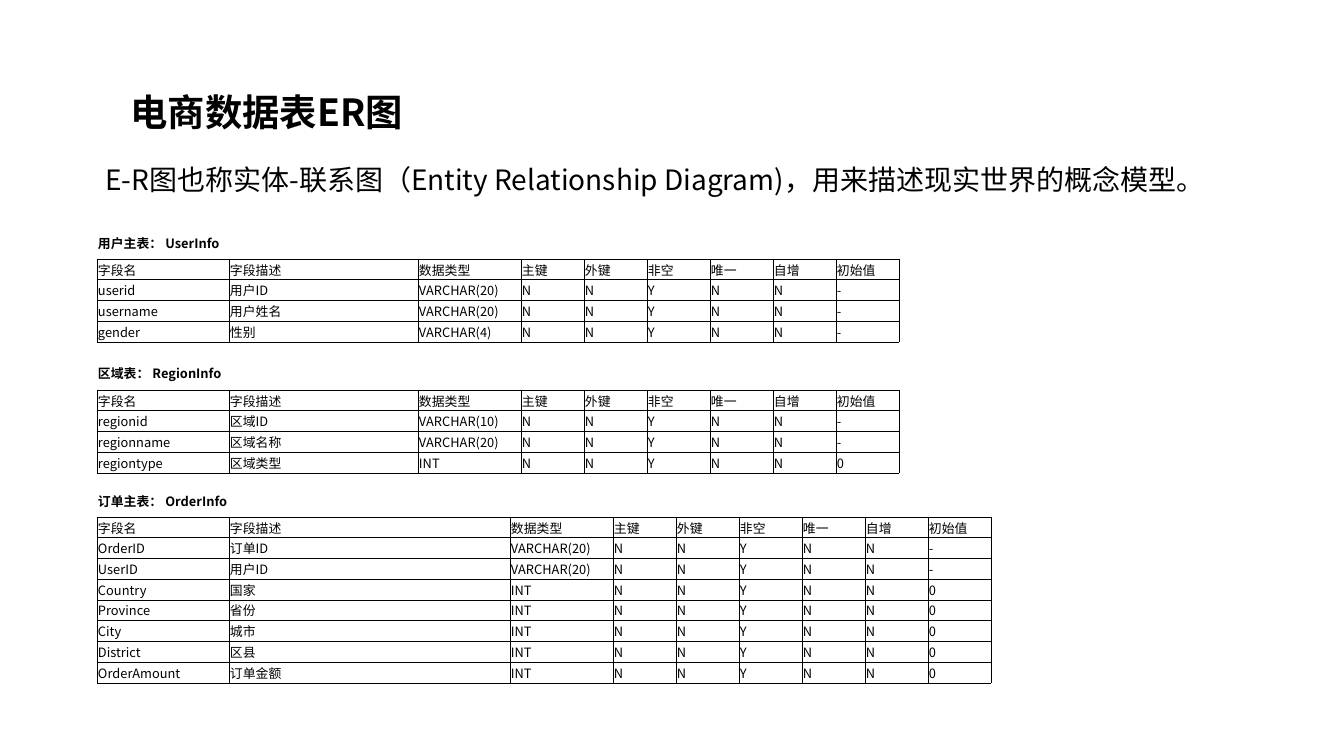
from lxml import etree
from pptx import Presentation
from pptx.dml.color import RGBColor
from pptx.enum.text import MSO_ANCHOR, MSO_AUTO_SIZE, PP_ALIGN
from pptx.oxml.ns import qn
from pptx.util import Emu, Pt

PX_PER_INCH = 84
MIDDLE = MSO_ANCHOR.MIDDLE
TOP = MSO_ANCHOR.TOP
LEFT = PP_ALIGN.LEFT
NO_AUTOFIT = MSO_AUTO_SIZE.NONE
COLORS = {"ink": "000000"}
FONT = "Noto Sans CJK SC"

TABLE_LEFT = 97
CAPTION_HEIGHT = 21
NAME_WIDTH = 132
TYPE_WIDTH = 103
FLAG_WIDTH = 63
HEADINGS = ["字段名", "字段描述", "数据类型", "主键", "外键", "非空", "唯一", "自增", "初始值"]
FLAGS = ["N", "N", "Y", "N", "N"]

USER_FIELDS = [
    ("userid", "用户ID", "VARCHAR(20)", "-"),
    ("username", "用户姓名", "VARCHAR(20)", "-"),
    ("gender", "性别", "VARCHAR(4)", "-"),
]
REGION_FIELDS = [
    ("regionid", "区域ID", "VARCHAR(10)", "-"),
    ("regionname", "区域名称", "VARCHAR(20)", "-"),
    ("regiontype", "区域类型", "INT", "0"),
]
ORDER_FIELDS = [
    ("OrderID", "订单ID", "VARCHAR(20)", "-"),
    ("UserID", "用户ID", "VARCHAR(20)", "-"),
    ("Country", "国家", "INT", "0"),
    ("Province", "省份", "INT", "0"),
    ("City", "城市", "INT", "0"),
    ("District", "区县", "INT", "0"),
    ("OrderAmount", "订单金额", "INT", "0"),
]


def px(length):
    return Emu(round(length * 914400 / PX_PER_INCH))


def write_text(frame, text, size=11, bold=False, line_spacing=1.0):
    para = frame.paragraphs[0]
    para.alignment = LEFT
    para.line_spacing = line_spacing
    para.space_before = Pt(0)
    span = para.add_run()
    span.text = text
    span.font.size = Pt(size)
    span.font.bold = bold
    span.font.name = FONT
    span.font.color.rgb = RGBColor.from_string(COLORS["ink"])
    east_asian = etree.SubElement(span.font._element, qn("a:ea"))
    east_asian.set("typeface", FONT)
    return para


def fill_placeholder(box, text, left, top, width, height, anchor, **text_format):
    box.left, box.top, box.width, box.height = map(px, (left, top, width, height))
    frame = box.text_frame
    frame.word_wrap = True
    frame.auto_size = NO_AUTOFIT
    frame.vertical_anchor = anchor
    frame.margin_top = frame.margin_bottom = 0
    return write_text(frame, text, **text_format)


def remove_bullet(para):
    properties = para._p.get_or_add_pPr()
    properties.set("marL", "0")
    properties.set("indent", "0")
    etree.SubElement(properties, qn("a:buNone"))


def add_borders(cell):
    properties = cell._tc.get_or_add_tcPr()
    for side in ("lnL", "lnR", "lnT", "lnB"):
        line = etree.SubElement(properties, qn(f"a:{side}"), w=str(Pt(0.5)))
        paint = etree.SubElement(line, qn("a:solidFill"))
        etree.SubElement(paint, qn("a:srgbClr"), val=COLORS["ink"])


def add_grid(page, top, height, widths, rows, bordered=True, bold=False):
    table = page.shapes.add_table(
        len(rows), len(widths), px(TABLE_LEFT), px(top), px(sum(widths)), px(height)
    ).table
    table.first_row = False
    table.horz_banding = False
    for column, width in zip(table.columns, widths):
        column.width = px(width)
    for row, values in zip(table.rows, rows):
        row.height = px(height / len(rows))
        for cell, value in zip(row.cells, values):
            cell.margin_left = cell.margin_right = px(1)
            cell.margin_top = cell.margin_bottom = px(1)
            cell.vertical_anchor = MIDDLE
            if bordered:
                add_borders(cell)
            cell.fill.background()
            write_text(cell.text_frame, value, bold=bold)


def add_entity(page, caption, fields, caption_top, caption_width,
               top, height, description_width):
    widths = [NAME_WIDTH, description_width, TYPE_WIDTH] + [FLAG_WIDTH] * 6
    rows = [HEADINGS] + [
        [name, description, kind, *FLAGS, default]
        for name, description, kind, default in fields
    ]
    add_grid(page, top, height, widths, rows)
    add_grid(page, caption_top, CAPTION_HEIGHT, [caption_width], [[caption]],
             bordered=False, bold=True)


def main():
    deck = Presentation()
    deck.slide_width = px(1344)
    deck.slide_height = px(756)
    page = deck.slides.add_slide(deck.slide_layouts[1])

    fill_placeholder(page.shapes.title, "电商数据表ER图",
                     122, 85, 479, 54, MIDDLE, size=32, bold=True)
    summary = fill_placeholder(
        page.placeholders[1],
        "E-R图也称实体-联系图（Entity Relationship Diagram)，用来描述现实世界的概念模型。",
        97, 152, 1151, 56, TOP, size=24, line_spacing=1.3)
    remove_bullet(summary)

    add_entity(page, "用户主表： UserInfo", USER_FIELDS, 232, 132, 259, 83, 189)
    add_entity(page, "区域表： RegionInfo", REGION_FIELDS, 362, 132, 390, 83, 189)
    add_entity(page, "订单主表： OrderInfo", ORDER_FIELDS, 490, 175, 517, 166, 281)
    deck.save("out.pptx")


if __name__ == "__main__":
    main()
